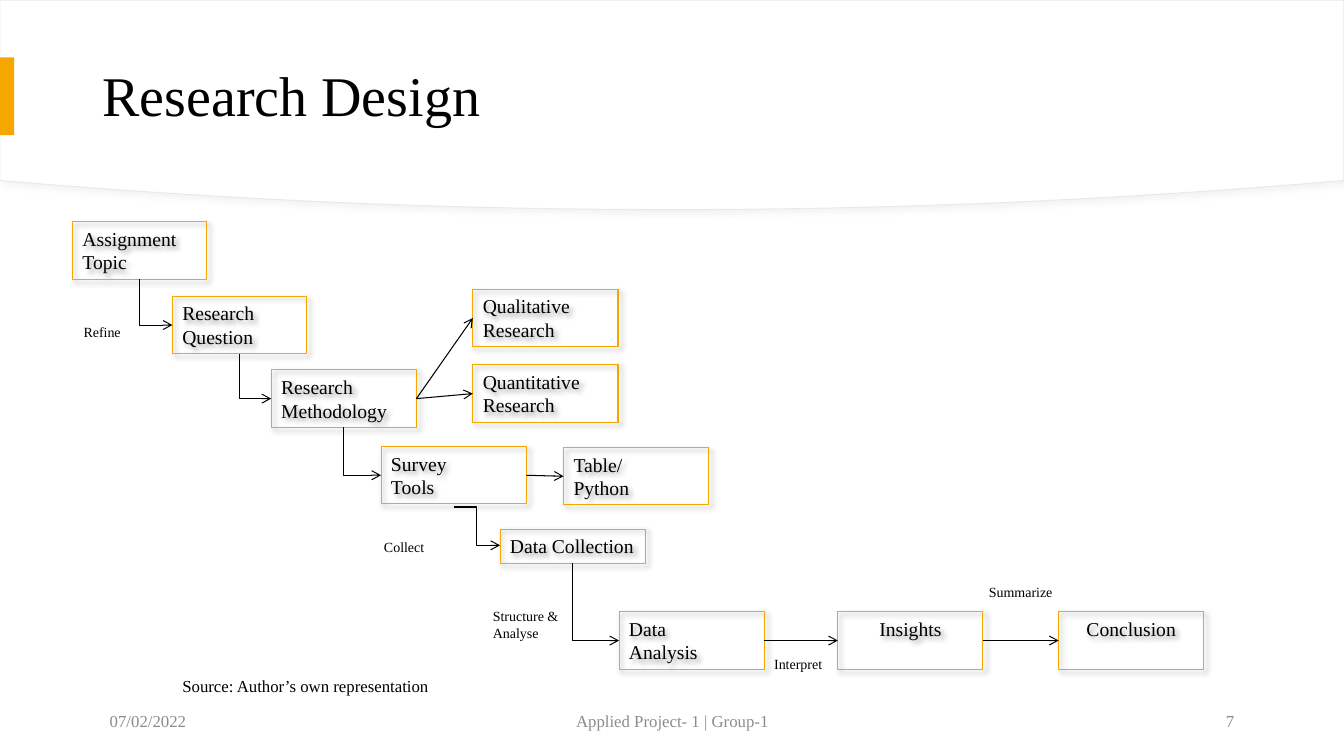
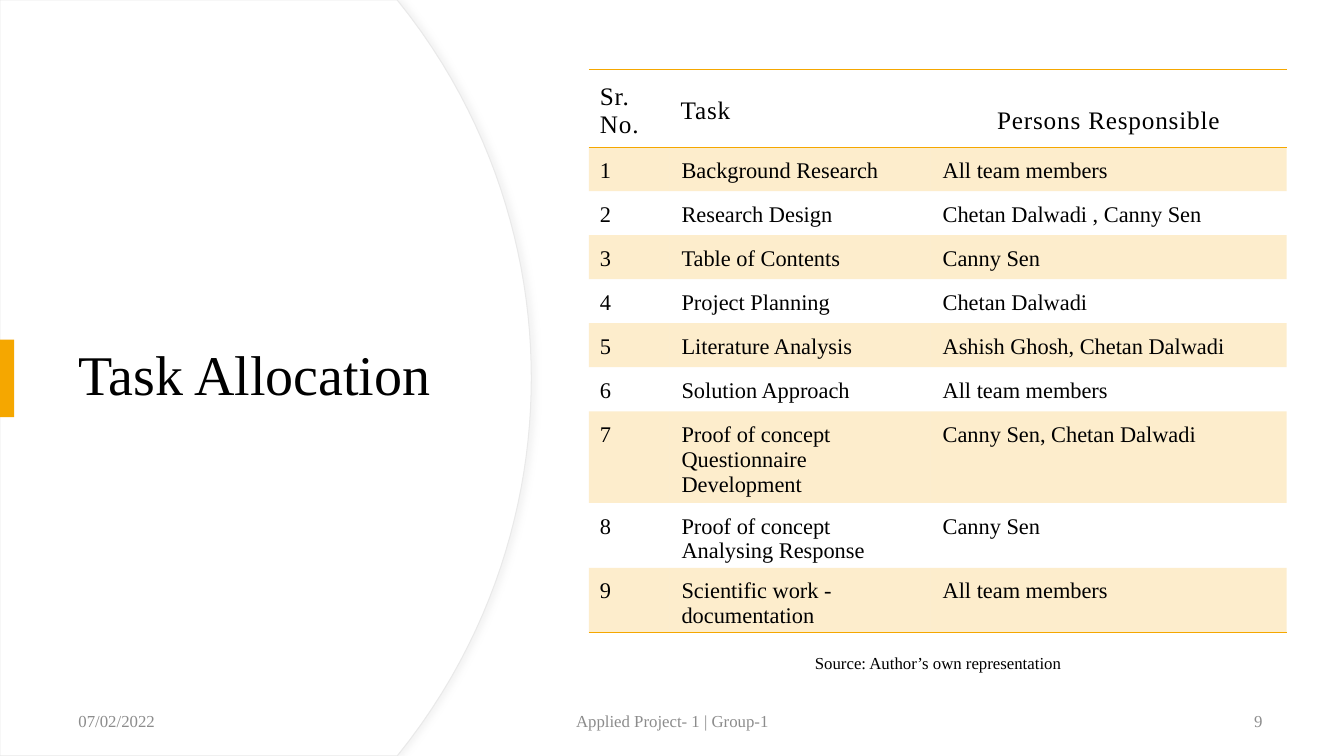
from math import sqrt

from lxml.etree import SubElement
from pptx import Presentation
from pptx.dml.color import RGBColor
from pptx.enum.shapes import MSO_CONNECTOR, MSO_SHAPE
from pptx.enum.text import MSO_ANCHOR, PP_ALIGN
from pptx.oxml.ns import qn
from pptx.util import Inches, Pt

# The grid: cells of a tenth of an inch
COLUMNS, ROWS = 133.3, 75
COLORS = {"paper": "FFFFFF", "ink": "000000", "accent": "F5A700",
          "footer": "8C8C8C", "edge": "E9E9E9", "haze": "D9D9D9"}
FONT = "Times New Roman"
PLAIN_TABLE = "{2D5ABB26-0587-4C30-8999-92F81FD0307C}"
SOURCE = "Source: Author’s own representation"
LEFT, CENTER, RIGHT = PP_ALIGN.LEFT, PP_ALIGN.CENTER, PP_ALIGN.RIGHT
TOP, MIDDLE = MSO_ANCHOR.TOP, MSO_ANCHOR.MIDDLE

# Text styles: size, colour name and paragraph settings
STYLES = {
    "title": (40, "ink", {"line_spacing": 0.9}),
    "footer": (12, "footer", {"space_after": Pt(6)}),
    "box": (14, "ink", {}),
    "label": (10, "ink", {}),
    "source": (12, "ink", {}),
    "header": (18, "ink", {}),
    "tall header": (18, "ink", {"line_spacing": 1.5}),
    "cell": (16, "ink", {}),
}

BOX_WIDTH, BOX_HEIGHT = 14.4, 5.7
# Flow boxes: text -> left, top and the sizes that differ
BOXES = {
    "Assignment Topic": (7.2, 22, 13.3),
    "Research Question": (17.1, 29.4, 13.3),
    "Research Methodology": (26.9, 36.7),
    "Qualitative Research": (46.9, 28.7),
    "Quantitative Research": (46.9, 36.2),
    "Survey\nTools": (37.8, 44.3),
    "Data Collection": (49.6, 52.5, BOX_WIDTH, 3.4),
    "Table/\nPython": (55.9, 44.4),
    "Data\nAnalysis": (61.4, 60.7),
    "Insights": (83.1, 60.7),
    "Conclusion": (105, 60.7),
}
CENTERED_BOXES = ("Insights", "Conclusion")
DOWN_LINKS = [
    ("Assignment Topic", "Research Question"),
    ("Research Question", "Research Methodology"),
    ("Research Methodology", "Survey\nTools"),
    ("Data Collection", "Data\nAnalysis"),
]
SIDE_LINKS = [
    ("Research Methodology", "Qualitative Research"),
    ("Research Methodology", "Quantitative Research"),
    ("Survey\nTools", "Table/\nPython"),
    ("Data\nAnalysis", "Insights"),
    ("Insights", "Conclusion"),
]
LABELS = {
    "Refine": (7.3, 31.6, 6.8, 2.7),
    "Collect": (37.1, 52.9, 6.8, 2.7),
    "Structure & Analyse": (47.9, 59.8, 10.3, 4.4),
    "Interpret": (75.8, 64.5, 11.6, 2.7),
    "Summarize": (97.1, 57.4, 11.6, 2.7),
}

TABLE_COLUMNS = (8, 25.9, 35.3)
TABLE_ROWS = (7.3,) + (4.3,) * 6 + (8.6, 6.2, 6.2)
TASK_HEADER = ("Sr. No.", "Task", "Persons Responsible")
TASKS = [
    ("Background Research", "All team members"),
    ("Research Design", "Chetan Dalwadi , Canny Sen"),
    ("Table of Contents", "Canny Sen"),
    ("Project Planning", "Chetan Dalwadi"),
    ("Literature Analysis", "Ashish Ghosh, Chetan Dalwadi"),
    ("Solution Approach", "All team members"),
    ("Proof of concept\nQuestionnaire Development", "Canny Sen, Chetan Dalwadi"),
    ("Proof of concept\nAnalysing Response", "Canny Sen"),
    ("Scientific work - documentation", "All team members"),
]


def cells(*counts):
    """Turn grid counts into lengths."""
    return [Inches(count / 10) for count in counts]


def color(name):
    return RGBColor.from_string(COLORS[name])


def set_values(target, values):
    for name, value in values.items():
        setattr(target, name, value)


# Text
def write(frame, text, style, align=LEFT, spacing=None):
    size, ink, settings = STYLES[style]
    for index, line in enumerate(text.split("\n")):
        para = frame.add_paragraph() if index else frame.paragraphs[0]
        set_values(para, {"alignment": align, **settings})
        span = para.add_run()
        span.text = line
        set_values(span.font, {"name": FONT, "size": Pt(size)})
        span.font.color.rgb = color(ink)
        if spacing:
            span.font._element.set("spc", str(spacing))


def add_text(page, place, text, style, align=LEFT, anchor=TOP):
    frame = page.shapes.add_textbox(*cells(*place)).text_frame
    set_values(frame, {"word_wrap": True, "vertical_anchor": anchor})
    write(frame, text, style, align)


# Shapes
def add_shadow(shape, name, opacity, degrees=45):
    shape.shadow.inherit = False
    effects = shape._element.spPr.find(qn("a:effectLst"))
    shadow = SubElement(effects, qn("a:outerShdw"), blurRad=str(Pt(4)),
                        dist=str(Pt(3)), dir=str(degrees * 60000),
                        algn="tl", rotWithShape="0")
    tint = SubElement(shadow, qn("a:srgbClr"), val=COLORS[name])
    SubElement(tint, qn("a:alpha"), val=str(opacity * 1000))


def paint(shape, fill=None, line=None):
    shape.shadow.inherit = False
    if fill:
        shape.fill.solid()
        shape.fill.fore_color.rgb = color(fill)
    else:
        shape.fill.background()
    if line:
        shape.line.color.rgb = color(line)
        shape.line.width = Pt(0.75)
    else:
        shape.line.fill.background()


def add_box(page, text, left, top, width=BOX_WIDTH, height=BOX_HEIGHT):
    box = page.shapes.add_shape(MSO_SHAPE.RECTANGLE,
                                *cells(left, top, width, height))
    paint(box, line="accent")
    add_shadow(box, "ink", 40)
    set_values(box.text_frame, {"word_wrap": True, "vertical_anchor": TOP})
    write(box.text_frame, text, "box",
          CENTER if text in CENTERED_BOXES else LEFT)
    return box


def arc(half_chord, depth, steps=48):
    """Yield the share along a circular arc and its distance below the peak."""
    radius = (half_chord ** 2 + depth ** 2) / (2 * depth)
    for step in range(steps + 1):
        share = step / steps
        across = half_chord * (2 * share - 1)
        yield share, radius - sqrt(radius ** 2 - across ** 2)


def add_panel(page, points, degrees):
    """Draw a white panel with one curved edge."""
    corners = [cells(*point) for point in points]
    builder = page.shapes.build_freeform(*corners[0])
    builder.add_line_segments(corners[1:], close=True)
    panel = builder.convert_to_shape()
    paint(panel, "paper", "edge")
    add_shadow(panel, "haze", 30, degrees)


# Connectors
def add_arrow(page, kind, ends=(0, 0, 0, 0)):
    arrow = page.shapes.add_connector(kind, *cells(*ends))
    arrow.line.color.rgb = color("ink")
    arrow.line.width = Pt(0.75)
    SubElement(arrow.line._get_or_add_ln(), qn("a:tailEnd"), type="arrow")
    SubElement(arrow._element.spPr, qn("a:effectLst"))
    return arrow


def link(page, start, end, start_side, kind=MSO_CONNECTOR.STRAIGHT):
    """Join a side of one box to the left side of the next."""
    arrow = add_arrow(page, kind)
    arrow.begin_connect(start, start_side)
    arrow.end_connect(end, 1)
    return arrow


def link_down(page, start, end):
    """Go down from one box, then right into the next with a single bend."""
    arrow = link(page, start, end, 2, MSO_CONNECTOR.ELBOW)
    width, height = arrow.width, arrow.height
    shift = (width - height) // 2
    set_values(arrow, {"left": arrow.left + shift, "top": arrow.top - shift,
                       "width": height, "height": width})
    properties = arrow._element.spPr
    properties.find(qn("a:prstGeom")).set("prst", "bentConnector2")
    for name, value in (("rot", "16200000"), ("flipH", "1")):
        properties.find(qn("a:xfrm")).set(name, value)


# Table
def add_border(cell, side):
    line = SubElement(cell._tc.get_or_add_tcPr(), qn("a:" + side),
                      w=str(Pt(1)))
    fill = SubElement(line, qn("a:solidFill"))
    SubElement(fill, qn("a:srgbClr"), val=COLORS["accent"])


def format_cell(cell, text, row, column):
    header, tall = row == 0, column == 2
    narrow = column == 0 or (header and not tall)
    margins = (1.1, 1.1, 1.1, 0.6) if narrow else (1.2, 1.1, 1.2, 0)
    names = ("margin_left", "margin_top", "margin_right", "margin_bottom")
    set_values(cell, dict(zip(names, cells(*margins))))
    cell.vertical_anchor = MIDDLE if header else TOP
    if header:
        add_border(cell, "lnT")
    if row in (0, len(TASKS)):
        add_border(cell, "lnB")
    if row % 2:
        cell.fill.solid()
        cell.fill.fore_color.rgb = color("accent")
        tint = next(cell._tc.tcPr.find(qn("a:solidFill")).iterchildren())
        SubElement(tint, qn("a:alpha"), val="20000")
    else:
        cell.fill.background()
    if header:
        write(cell.text_frame, text, "tall header" if tall else "header",
              CENTER if tall else LEFT, spacing=60)
    else:
        write(cell.text_frame, text, "cell")


def add_task_table(page, left, top):
    rows = [TASK_HEADER]
    rows += [(str(number), *task) for number, task in enumerate(TASKS, 1)]
    place = cells(left, top, sum(TABLE_COLUMNS), sum(TABLE_ROWS))
    table = page.shapes.add_table(len(rows), len(TASK_HEADER), *place).table
    set_values(table, {"first_row": False, "horz_banding": False})
    table._tbl.tblPr.find(qn("a:tableStyleId")).text = PLAIN_TABLE
    for column, width in zip(table.columns, cells(*TABLE_COLUMNS)):
        column.width = width
    for row, height in zip(table.rows, cells(*TABLE_ROWS)):
        row.height = height
    for row, texts in enumerate(rows):
        for column, text in enumerate(texts):
            format_cell(table.cell(row, column), text, row, column)


# What both pages share
def add_page(deck, title, title_place, bar_top, panel, shade, margins, number):
    page = deck.slides.add_slide(deck.slide_layouts[6])
    add_panel(page, panel, shade)
    add_text(page, title_place, title, "title", anchor=MIDDLE)
    bar = page.shapes.add_shape(MSO_SHAPE.RECTANGLE,
                                *cells(0, bar_top, 1.4, 7.7))
    paint(bar, "accent")
    footers = [(margins[0], 30, "07/02/2022", LEFT),
               (44.2, 45, "Applied Project- 1 | Group-1", CENTER),
               (margins[1], 30, number, RIGHT)]
    for left, width, text, align in footers:
        add_text(page, (left, 69.5, width, 4), text, "footer", align, MIDDLE)
    return page


def build_research_design(deck):
    edge = [(COLUMNS * share, 20.8 - drop)
            for share, drop in arc(COLUMNS / 2, 2.9)]
    page = add_page(deck, "Research Design", (9.2, 2.8, 115, 13.9), 5.7,
                    [(0, 0), *edge, (COLUMNS, 0)], 45, (9.9, 93.4), "7")
    boxes = {text: add_box(page, text, *place)
             for text, place in BOXES.items()}
    for start, end in DOWN_LINKS:
        link_down(page, boxes[start], boxes[end])
    for start, end in SIDE_LINKS:
        link(page, boxes[start], boxes[end], 3)
    add_arrow(page, MSO_CONNECTOR.ELBOW, (45, 50.3, 49.6, 54.1))
    for text, place in LABELS.items():
        add_text(page, place, text, "label")
    add_text(page, (17.1, 66.5, 30.9, 3), SOURCE, "source")


def build_task_allocation(deck):
    edge = [(52.7 - drop, ROWS * share)
            for share, drop in arc(ROWS / 2, 13.3)]
    page = add_page(deck, "Task Allocation", (6.8, 12.7, 39.4, 49.5), 33.7,
                    [(0, 0), *edge, (0, ROWS)], 0, (6.8, 96.2), "9")
    add_task_table(page, 58.4, 6.9)
    add_text(page, (77.6, 64.3, 30.9, 3), SOURCE, "source", CENTER)


def main():
    deck = Presentation()
    deck.slide_width, deck.slide_height = cells(COLUMNS, ROWS)
    build_research_design(deck)
    build_task_allocation(deck)
    deck.save("out.pptx")


if __name__ == "__main__":
    main()
